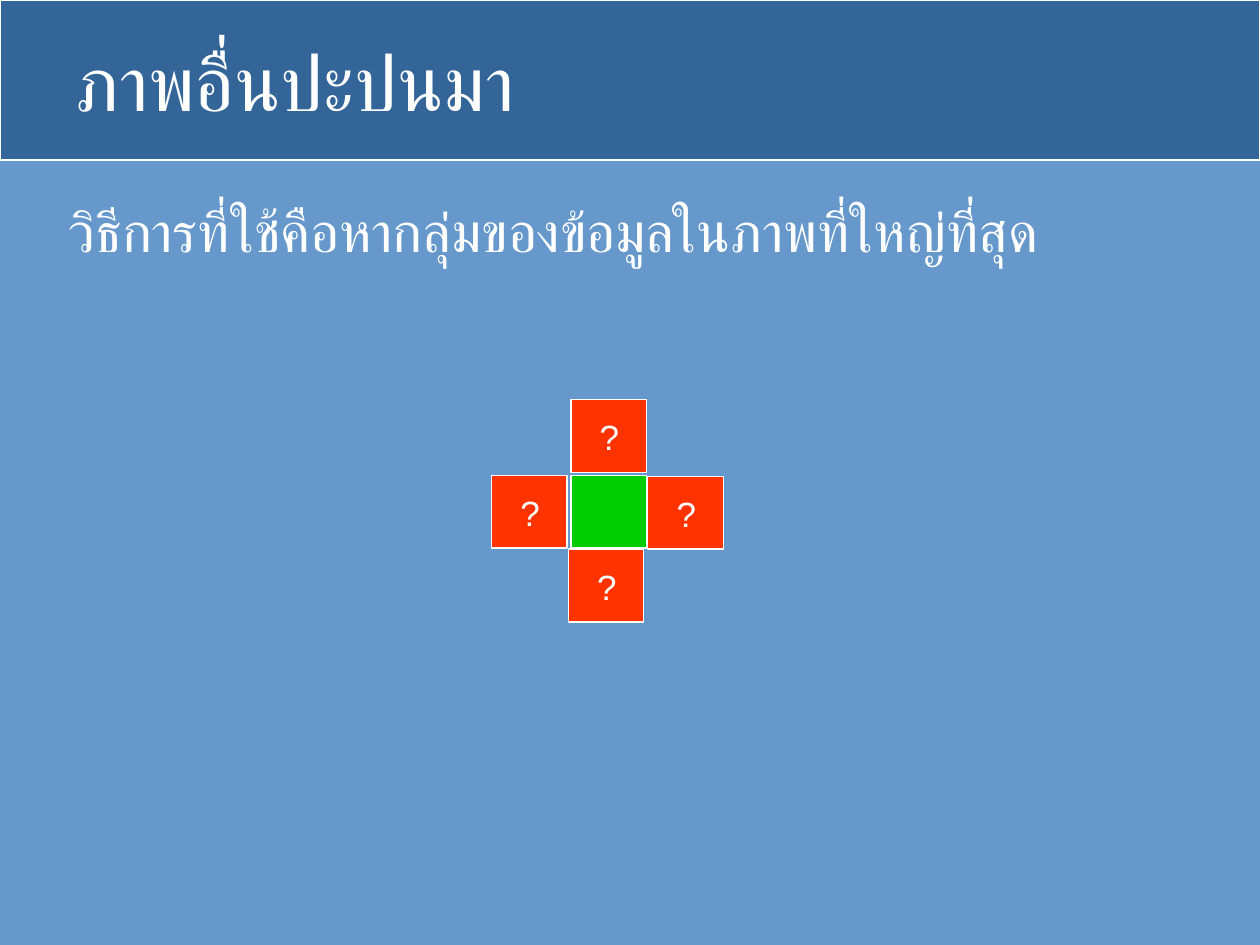
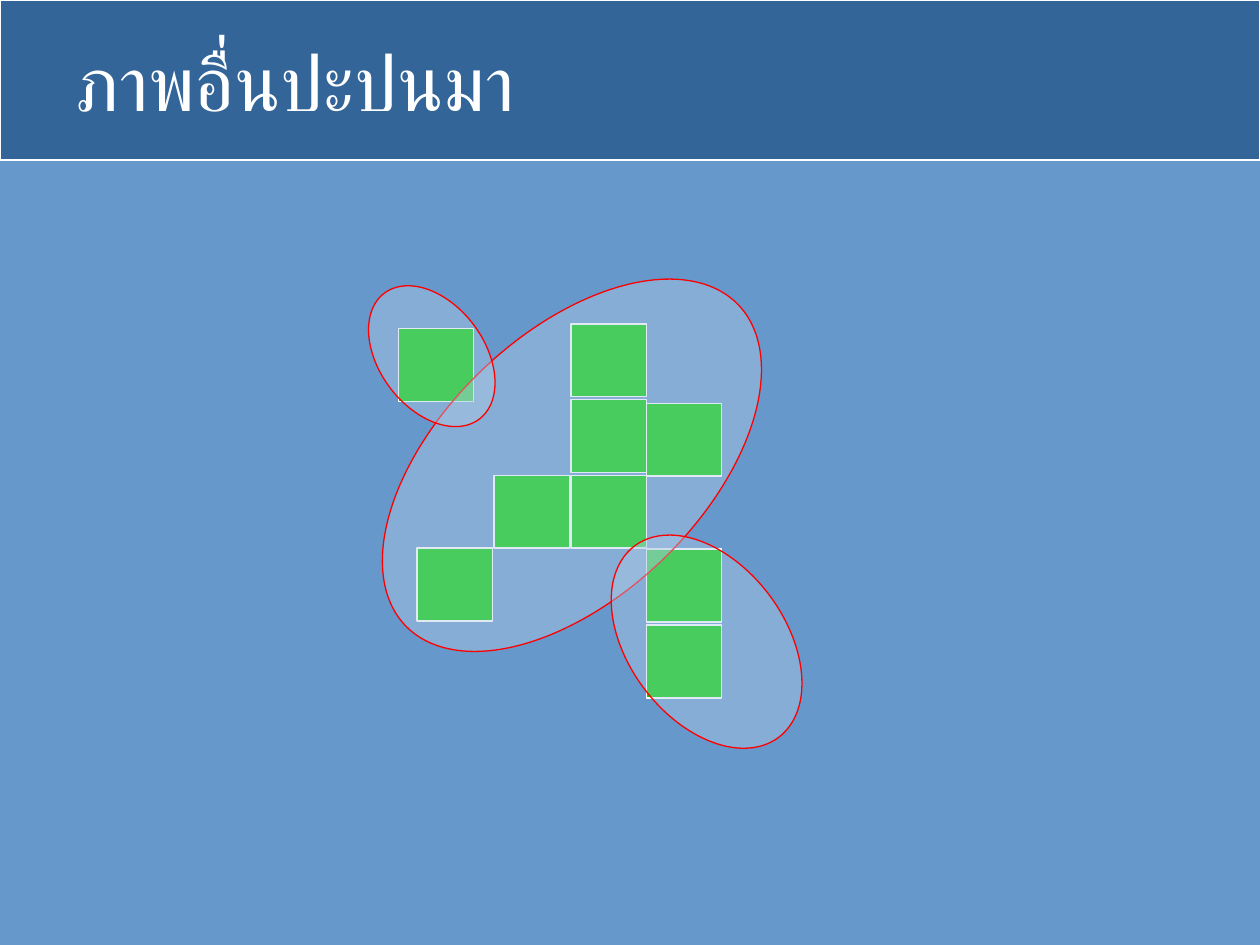
"""Build two slides on finding the largest group of pixels in an image."""
from lxml.etree import SubElement
from pptx import Presentation
from pptx.dml.color import RGBColor as Rgb
from pptx.enum.shapes import MSO_SHAPE as Shape
from pptx.enum.text import MSO_ANCHOR as Anchor
from pptx.oxml.ns import qn
from pptx.util import Cm, Pt

COLORS = {
    "background": "6698CC",
    "band": "336599",
    "white": "FFFFFF",
    "known": "00CC00",
    "unknown": "FF3300",
    "halo": "B3CCE6",
    "outline": "FF0000",
}
FONT = "Arial"
CELL_WIDTH, CELL_HEIGHT = 1.52, 1.47


def add_figure(shapes, kind, place, fill, line="white"):
    figure = shapes.add_shape(kind, *[Cm(length) for length in place])
    figure.shadow.inherit = False
    figure.fill.solid()
    figure.fill.fore_color.rgb = Rgb.from_string(COLORS[fill])
    figure.line.color.rgb = Rgb.from_string(COLORS[line])
    figure.line.width = Pt(0.75)
    return figure


def add_text(shapes, place, text, size, wrap=False, anchor=Anchor.TOP):
    box = shapes.add_textbox(*[Cm(length) for length in place])
    frame = box.text_frame
    frame.word_wrap = wrap
    frame.vertical_anchor = anchor
    para = frame.paragraphs[0]
    span = para.add_run()
    span.text = text
    para.font.size = span.font.size = Pt(size)
    para.font.name = span.font.name = FONT
    para.font.color.rgb = span.font.color.rgb = Rgb.from_string(COLORS["white"])
    SubElement(span.font._element, qn("a:cs"), typeface=FONT)


deck = Presentation()
deck.slide_width, deck.slide_height = Cm(25.4), Cm(19.05)
backdrop = deck.slide_master.background.fill
backdrop.solid()
backdrop.fore_color.rgb = Rgb.from_string(COLORS["background"])

pages = [deck.slides.add_slide(deck.slide_layouts[6]) for _ in range(2)]
for page in pages:
    add_figure(page.shapes, Shape.RECTANGLE, (0, 0, 25.4, 3.23), "band")
    add_text(page.shapes, (1.27, 0.53, 22.53, 2.21), "ภาพอื่นปะปนมา", 44,
             wrap=True, anchor=Anchor.MIDDLE)
neighbour_page, group_page = pages

add_text(neighbour_page.shapes, (1.14, 3.84, 20.07, 1.63),
         "วิธีการที่ใช้คือหากลุ่มของข้อมูลในภาพที่ใหญ่ที่สุด", 32)
add_figure(neighbour_page.shapes, Shape.RECTANGLE,
           (11.51, 9.58, CELL_WIDTH, CELL_HEIGHT), "known")
neighbours = [(11.51, 8.05), (13.06, 9.6), (9.91, 9.58), (11.46, 11.07)]
for left, top in neighbours:
    group = neighbour_page.shapes.add_group_shape()
    add_figure(group.shapes, Shape.RECTANGLE,
               (left, top, CELL_WIDTH, CELL_HEIGHT), "unknown")
    add_text(group.shapes, (left + 0.33, top + 0.2, 0.89, 1.12), "?", 20)

cells = [
    (11.51, 9.58), (11.51, 8.05), (11.51, 6.53),
    (9.96, 9.58), (13.03, 8.13), (13.03, 11.07),
    (13.03, 12.6), (8.41, 11.05), (8.03, 6.63),
]
for left, top in cells:
    add_figure(group_page.shapes, Shape.RECTANGLE,
               (left, top, CELL_WIDTH, CELL_HEIGHT), "known")

halos = [
    ((8.89, 4.72, 5.28, 9.32), 46),
    ((12.67, 10.52, 3.15, 4.83), 323),
    ((7.65, 5.59, 2.11, 3.18), 323),
]
for place, angle in halos:
    halo = add_figure(group_page.shapes, Shape.OVAL, place, "halo", "outline")
    halo.rotation = angle
    tint = halo._element.spPr.find(qn("a:solidFill"))[0]
    SubElement(tint, qn("a:alpha"), val="41000")

deck.save("out.pptx")
